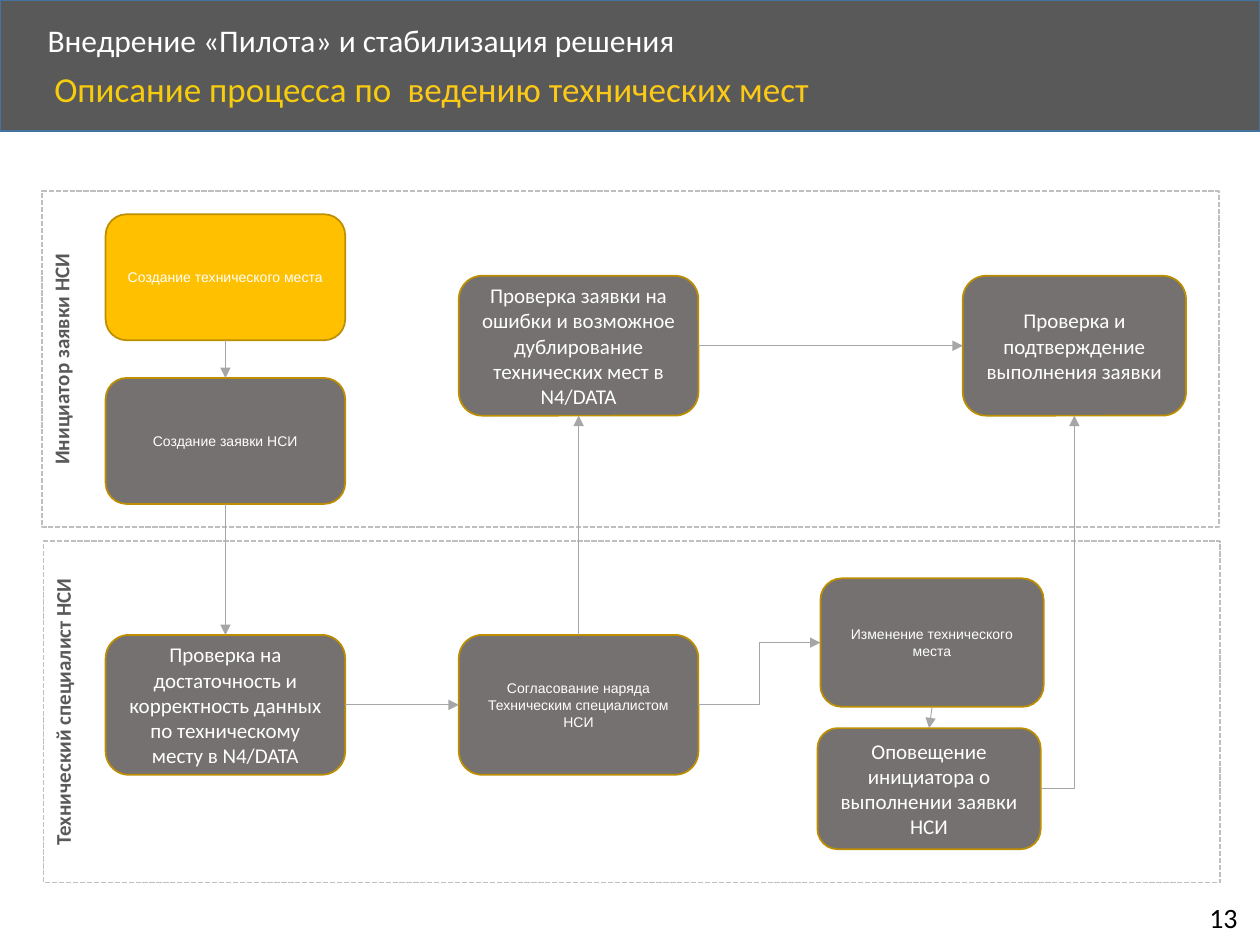
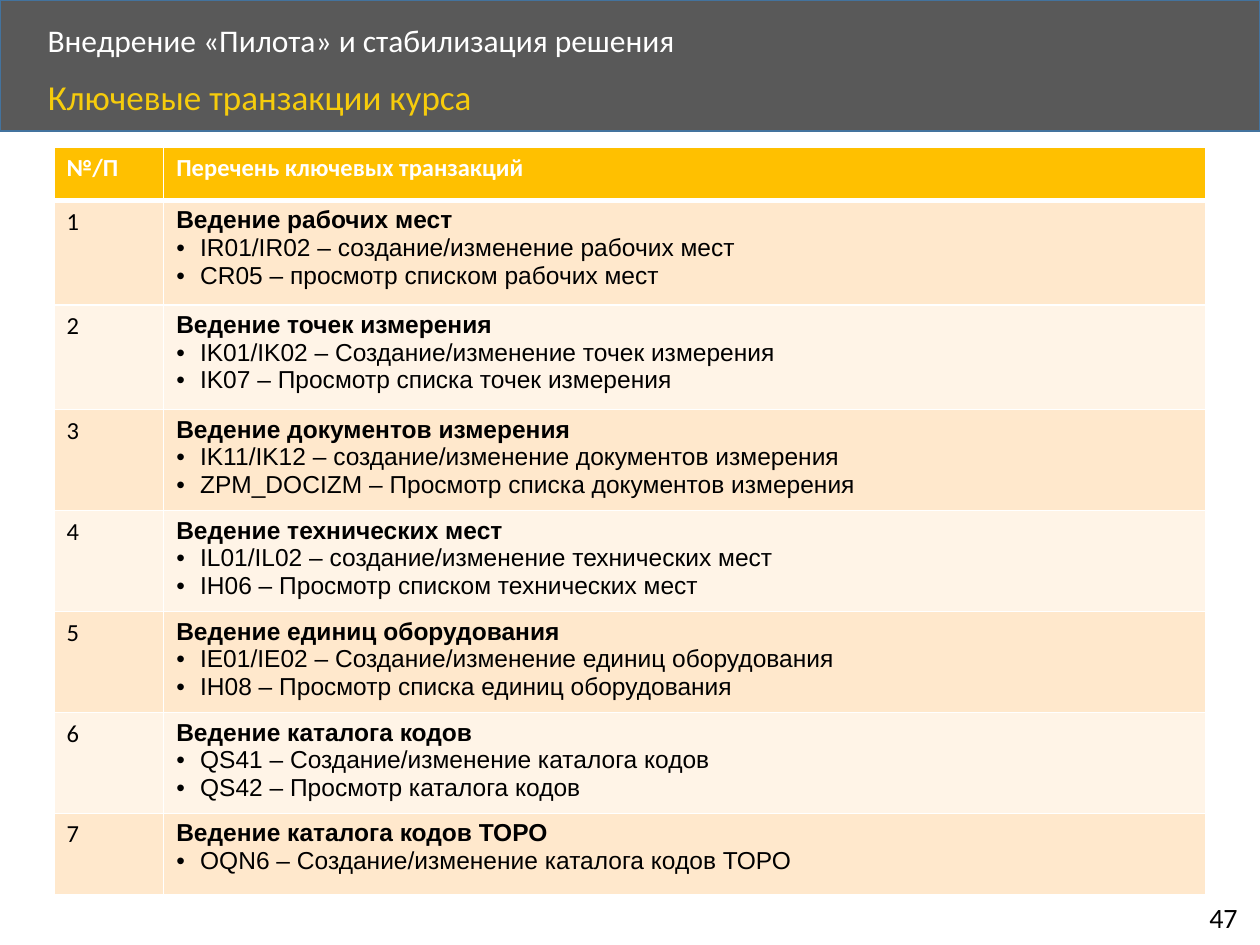
"""Build two slides: a process flow for technical locations and a table of key transactions."""
import dataclasses

import lxml.etree as etree
import pptx
import pptx.dml.color
import pptx.enum.dml
import pptx.enum.shapes
import pptx.enum.text
import pptx.oxml.ns
import pptx.util

Cm = pptx.util.Cm
qn = pptx.oxml.ns.qn
SHAPE = pptx.enum.shapes.MSO_SHAPE
CONNECTOR = pptx.enum.shapes.MSO_CONNECTOR
ANCHOR = pptx.enum.text.MSO_ANCHOR
ALIGN = pptx.enum.text.PP_ALIGN
TOP, LEFT, BOTTOM, RIGHT = range(4)


@dataclasses.dataclass(frozen=True)
class Theme:
    """Colours, fonts and type sizes of the deck."""
    white: str = "FFFFFF"
    black: str = "000000"
    band: str = "595959"
    band_edge: str = "43739E"
    title: str = "F6CC0C"
    title_accent: str = "FCC917"
    amber: str = "FFC000"
    step: str = "767171"
    step_edge: str = "BD8E00"
    lane_edge: str = "BFBFBF"
    arrow: str = "A6A6A6"
    rows: tuple = ("FFE8CC", "FFF4E7")
    heading_font: str = "Calibri"
    body_font: str = "Arial"
    subject_size: int = 18
    title_size: int = 20
    number_size: int = 16
    table_size: int = 14
    label_size: int = 12
    small_size: int = 8


THEME = Theme()
SUBJECT = "Внедрение «Пилота» и стабилизация решения"

LANES = [
    ("Инициатор заявки НСИ", (0.85, 3.85, 23.72, 6.78)),
    ("Технический специалист НСИ", (0.88, 10.91, 23.72, 6.88)),
]

SMALL = {"font": THEME.body_font, "size": THEME.small_size}
STEPS = {
    "start": ("Создание технического места", (2.13, 4.32, 4.83, 2.54), SMALL),
    "request": ("Создание заявки НСИ", (2.13, 7.62, 4.83, 2.54), SMALL),
    "data check": ("Проверка на достаточность и корректность данных по техническому месту в N4/DATA",
                   (2.13, 12.8, 4.83, 2.82), {}),
    "approval": ("Согласование наряда Техническим специалистом НСИ",
                 (9.25, 12.8, 4.83, 2.82), SMALL),
    "error check": ("Проверка заявки на ошибки и возможное дублирование технических мест в N4/DATA",
                    (9.25, 5.56, 4.83, 2.82), {}),
    "change": ("Изменение технического места", (16.54, 11.66, 4.5, 2.59), SMALL),
    "notice": ("Оповещение инициатора о выполнении заявки НСИ", (16.48, 14.68, 4.5, 2.44), {}),
    "confirmation": ("Проверка и подтверждение выполнения заявки", (19.41, 5.56, 4.5, 2.82), {}),
}

FLOWS = [
    ("start", BOTTOM, "request", TOP, None),
    ("request", BOTTOM, "data check", TOP, None),
    ("data check", RIGHT, "approval", LEFT, None),
    ("approval", TOP, "error check", BOTTOM, None),
    ("error check", RIGHT, "confirmation", LEFT, None),
    ("approval", RIGHT, "change", LEFT, "bentConnector3"),
    ("change", BOTTOM, "notice", TOP, None),
    ("notice", RIGHT, "confirmation", BOTTOM, "bentConnector2"),
]

TRANSACTIONS = [
    ("Ведение рабочих мест", 2.11,
     ["IR01/IR02 – создание/изменение рабочих мест", "CR05 – просмотр списком рабочих мест"]),
    ("Ведение точек измерения", 2.11,
     ["IK01/IK02 – Создание/изменение точек измерения", "IK07 – Просмотр списка точек измерения"]),
    ("Ведение документов измерения", 2.03,
     ["IK11/IK12 – создание/изменение документов измерения",
      "ZPM_DOCIZM – Просмотр списка документов измерения"]),
    ("Ведение технических мест", 2.03,
     ["IL01/IL02 – создание/изменение технических мест",
      "IH06 – Просмотр списком технических мест"]),
    ("Ведение единиц оборудования", 2.03,
     ["IE01/IE02 – Создание/изменение единиц оборудования",
      "IH08 – Просмотр списка единиц оборудования"]),
    ("Ведение каталога кодов", 2.03,
     ["QS41 – Создание/изменение каталога кодов", "QS42 – Просмотр каталога кодов"]),
    ("Ведение каталога кодов ТОРО", 1.65,
     ["OQN6 – Создание/изменение каталога кодов ТОРО"]),
]


def rgb(color):
    """Turn a hex string into a colour."""
    return pptx.dml.color.RGBColor.from_string(color)


def box_cm(box):
    """Turn a box in centimetres into lengths."""
    return [Cm(length) for length in box]


def write(paragraph, text, font=THEME.heading_font, size=THEME.label_size, color=THEME.white,
          bold=False, align=ALIGN.LEFT, line_spacing=None):
    """Add formatted text to a paragraph."""
    paragraph.alignment = align
    if line_spacing:
        paragraph.line_spacing = line_spacing
    run = paragraph.add_run()
    run.text = text
    run.font.name = font
    run.font.size = pptx.util.Pt(size)
    run.font.bold = bold
    run.font.color.rgb = rgb(color)


def add_panel(slide, kind, box, fill, edge):
    """Add a preset shape with a plain fill and a one-point edge."""
    panel = slide.shapes.add_shape(kind, *box_cm(box))
    panel.shadow.inherit = False
    if fill:
        panel.fill.solid()
        panel.fill.fore_color.rgb = rgb(fill)
    else:
        panel.fill.background()
    panel.line.color.rgb = rgb(edge)
    panel.line.width = pptx.util.Pt(1)
    return panel


def add_label(slide, text, box, wrap=True, anchor=ANCHOR.TOP, **text_format):
    """Add a text box with one line of text."""
    frame = slide.shapes.add_textbox(*box_cm(box)).text_frame
    frame.word_wrap = wrap
    frame.vertical_anchor = anchor
    write(frame.paragraphs[0], text, **text_format)


def add_titled_slide(deck, title_parts, title_box, number):
    """Add a slide with the header band, subject, title and page number."""
    slide = deck.slides.add_slide(deck.slide_layouts[5])
    title = slide.shapes.title
    band = add_panel(slide, SHAPE.RECTANGLE, (0, 0, 25.4, 2.64), THEME.band, THEME.band_edge)
    title.element.addprevious(band.element)
    title.left, title.top, title.width, title.height = box_cm(title_box)
    frame = title.text_frame
    frame.word_wrap = True
    frame.auto_size = pptx.enum.text.MSO_AUTO_SIZE.NONE
    frame.vertical_anchor = ANCHOR.TOP
    for text, color in title_parts:
        write(frame.paragraphs[0], text, size=THEME.title_size, color=color, line_spacing=0.9)
    add_label(slide, SUBJECT, (0.71, 0.36, 20.5, 0.97), anchor=ANCHOR.MIDDLE,
              size=THEME.subject_size, line_spacing=0.9)
    add_label(slide, str(number), (24.13, 18.03, 1.17, 0.94), wrap=False,
              size=THEME.number_size, color=THEME.black)
    return slide


def add_lane(slide, role, box):
    """Add a dashed lane whose role reads upwards along its left side."""
    left, top, width, height = box
    turned = (left + (width - height) / 2, top + (height - width) / 2, height, width)
    lane = add_panel(slide, SHAPE.RECTANGLE, turned, None, THEME.lane_edge)
    lane.rotation = 270
    lane.line.dash_style = pptx.enum.dml.MSO_LINE.SQUARE_DOT
    lane.text_frame.vertical_anchor = ANCHOR.TOP
    write(lane.text_frame.paragraphs[0], role, color=THEME.band, bold=True, align=ALIGN.CENTER)


def add_step(slide, text, box, fill, text_format):
    """Add a rounded process step."""
    step = add_panel(slide, SHAPE.ROUNDED_RECTANGLE, box, fill, THEME.step_edge)
    step.text_frame.word_wrap = True
    step.text_frame.vertical_anchor = ANCHOR.MIDDLE
    write(step.text_frame.paragraphs[0], text, align=ALIGN.CENTER, **text_format)
    return step


def add_flow(slide, source, source_side, target, target_side, bend):
    """Join two steps with an arrow, straight unless a bend is named."""
    kind = CONNECTOR.ELBOW if bend else CONNECTOR.STRAIGHT
    flow = slide.shapes.add_connector(kind, 0, 0, 0, 0)
    flow.begin_connect(source, source_side)
    flow.end_connect(target, target_side)
    flow.line.color.rgb = rgb(THEME.arrow)
    flow.line.width = pptx.util.Pt(0.5)
    etree.SubElement(flow.get_or_add_ln(), qn("a:tailEnd"), type="triangle")
    properties = flow.element.spPr
    if bend:
        properties.find(qn("a:prstGeom")).set("prst", bend)
    etree.SubElement(properties, qn("a:effectLst"))


def format_cell(cell, fill, top=1, bottom=1):
    """Give a cell white borders and a fill."""
    properties = cell._tc.get_or_add_tcPr()
    for side, points in (("lnL", 1), ("lnR", 1), ("lnT", top), ("lnB", bottom)):
        border = etree.SubElement(properties, qn(f"a:{side}"), w=str(pptx.util.Pt(points)))
        paint = etree.SubElement(border, qn("a:solidFill"))
        etree.SubElement(paint, qn("a:srgbClr"), val=THEME.white)
    cell.fill.solid()
    cell.fill.fore_color.rgb = rgb(fill)


def add_bullet(paragraph):
    """Give a paragraph a round bullet with a hanging indent."""
    properties = paragraph._p.get_or_add_pPr()
    indent = Cm(0.48)
    properties.set("marL", str(indent))
    properties.set("indent", str(-indent))
    etree.SubElement(properties, qn("a:buFont"), typeface=THEME.body_font)
    etree.SubElement(properties, qn("a:buChar"), char="•")


def add_transactions(slide):
    """Add the numbered table of transactions."""
    heights = [1.07] + [height for _, height, _ in TRANSACTIONS]
    table = slide.shapes.add_table(len(heights), 2, *box_cm((1.09, 2.97, 23.21, sum(heights)))).table
    for column, width in zip(table.columns, (2.21, 21)):
        column.width = Cm(width)
    for row, height in zip(table.rows, heights):
        row.height = Cm(height)
    for column, heading in enumerate(("№/П", "Перечень ключевых транзакций")):
        cell = table.cell(0, column)
        format_cell(cell, THEME.amber, bottom=3)
        write(cell.text_frame.paragraphs[0], heading, size=THEME.table_size, bold=True)
    body = {"size": THEME.table_size, "color": THEME.black}
    for number, (topic, _, codes) in enumerate(TRANSACTIONS, 1):
        number_cell, topic_cell = table.cell(number, 0), table.cell(number, 1)
        for cell in (number_cell, topic_cell):
            format_cell(cell, THEME.rows[(number - 1) % 2], top=3 if number == 1 else 1)
        write(number_cell.text_frame.paragraphs[0], str(number), **body)
        frame = topic_cell.text_frame
        write(frame.paragraphs[0], topic, font=THEME.body_font, bold=True, **body)
        for code in codes:
            paragraph = frame.add_paragraph()
            add_bullet(paragraph)
            write(paragraph, code, font=THEME.body_font, **body)


def build_process(deck):
    """Build the slide with the process in two lanes."""
    title = [("Описание процесса по  ", THEME.title),
             ("ведению технических мест", THEME.title_accent)]
    slide = add_titled_slide(deck, title, (0.84, 1.32, 16.51, 0.86), 13)
    for role, box in LANES:
        add_lane(slide, role, box)
    steps = {}
    for key, (text, box, text_format) in STEPS.items():
        fill = THEME.amber if key == "start" else THEME.step
        steps[key] = add_step(slide, text, box, fill, text_format)
    for source, source_side, target, target_side, bend in FLOWS:
        add_flow(slide, steps[source], source_side, steps[target], target_side, bend)


def build_transactions(deck):
    """Build the slide with the key transactions."""
    title = [("Ключевые транзакции курса", THEME.title)]
    slide = add_titled_slide(deck, title, (0.71, 1.5, 22.02, 1.14), 47)
    add_transactions(slide)


def main():
    """Build and save the deck."""
    deck = pptx.Presentation()
    deck.slide_width, deck.slide_height = Cm(25.4), Cm(19.05)
    build_process(deck)
    build_transactions(deck)
    deck.save("out.pptx")


if __name__ == "__main__":
    main()
